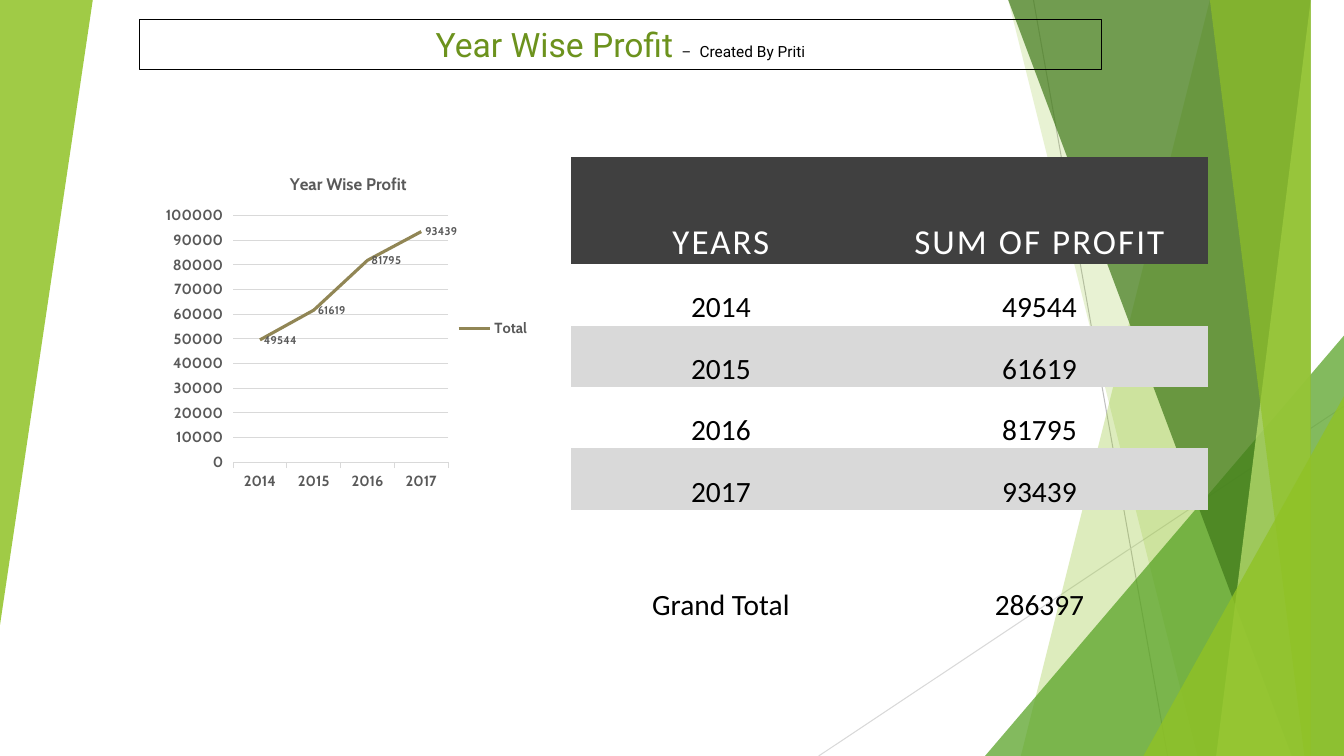
"""Build the Year Wise Profit slide with a line chart and a table."""
import pptx
import pptx.chart.data
import pptx.dml.color
import pptx.enum.chart
import pptx.enum.shapes
import pptx.enum.text
import pptx.oxml
import pptx.oxml.ns
import pptx.util
from lxml import etree

Inches, Pt = pptx.util.Inches, pptx.util.Pt
qn = pptx.oxml.ns.qn
C = {"lime": "90C226", "green": "54A021", "forest": "3F7819", "pale": "C0E474",
     "title": "6C921D", "line": "918655", "text": "595959", "head": "404040",
     "band": "D9D9D9", "rule": "BFBFBF", "black": "000000", "white": "FFFFFF"}


def rgb(name):
    return pptx.dml.color.RGBColor.from_string(C[name])


def style(font, face, size, color, bold=False):
    font.name, font.size, font.bold = face, Pt(size), bold
    font.color.rgb = rgb(color)


prs = pptx.Presentation()
prs.slide_width, prs.slide_height = Inches(13.33), Inches(7.5)
s = prs.slides.add_slide(prs.slide_layouts[5])

for x1, y1, x2, y2, color in [(10.25, 0, 11.58, 7.5, "rule"), (13.33, 4.03, 8.12, 7.5, "band")]:
    ln = s.shapes.add_connector(pptx.enum.shapes.MSO_CONNECTOR.STRAIGHT,
                                Inches(x1), Inches(y1), Inches(x2), Inches(y2))
    ln.line.color.rgb, ln.line.width = rgb(color), Pt(0.75)
    etree.SubElement(ln.element.spPr, qn("a:effectLst"))

facets = [
    ("band", (12.28, 10.04), "lime", 30),
    ("band", (10.5, 11.83), "lime", 20),
    ("triangle", (9.77, 3.33, 3.56, 4.17), "green", 72),
    ("band", (10.21, 12.91), "forest", 70),
    ("band", (13.03, 11.92), "pale", 70),
    ("band", (11.96, 13.18), "lime", 65),
    ("triangle", (11.34, 3.93, 1.99, 3.57), "lime", 80),
    ("triangle", (0, 0, 0.92, 6.2), "lime", 85),
]
for kind, place, color, alpha in facets:
    if kind == "band":
        top, bottom = place
        fb = s.shapes.build_freeform(top, 0, scale=Inches(1))
        fb.add_line_segments([(13.33, 0), (13.33, 7.5), (bottom, 7.5)], close=True)
        sp = fb.convert_to_shape()
    else:
        sp = s.shapes.add_shape(pptx.enum.shapes.MSO_SHAPE.ISOSCELES_TRIANGLE,
                                *[Inches(v) for v in place])
        sp.adjustments[0] = 1
        sp.rotation = 180 if place[0] == 0 else 0
    sp.shadow.inherit = False
    sp.line.fill.background()
    sp.fill.solid()
    sp.fill.fore_color.rgb = rgb(color)
    clr = sp.element.spPr.find(".//" + qn("a:srgbClr"))
    etree.SubElement(clr, qn("a:alpha"), val=str(alpha * 1000))

profits = {"2014": 49544, "2015": 61619, "2016": 81795, "2017": 93439}
rows = [("YEARS", "SUM OF PROFIT"), *profits.items(), ("Grand Total", sum(profits.values()))]
gf = s.shapes.add_table(len(rows), 2, Inches(5.66), Inches(1.56), Inches(6.32), Inches(4.63))
tbl = gf.table
gf.element.find(".//" + qn("a:tableStyleId")).text = "{2D5ABB26-0587-4C30-8999-92F81FD0307C}"
for col, width in zip(tbl.columns, (2.98, 3.34)):
    col.width = Inches(width)
for i, (row, height) in enumerate(zip(rows, (1.06, 0.61, 0.61, 0.61, 0.61, 1.13))):
    tbl.rows[i].height = Inches(height)
    for j, value in enumerate(row):
        cell = tbl.cell(i, j)
        cell.margin_left = cell.margin_right = cell.margin_top = cell.margin_bottom = 0
        cell.vertical_anchor = pptx.enum.text.MSO_ANCHOR.BOTTOM
        if i in (0, 2, 4):
            cell.fill.solid()
            cell.fill.fore_color.rgb = rgb("band" if i else "head")
        else:
            cell.fill.background()
        p = cell.text_frame.paragraphs[0]
        p.alignment = pptx.enum.text.PP_ALIGN.CENTER
        r = p.add_run()
        r.text = str(value)
        style(r.font, "Calibri", 21 if i else 25, "black" if i else "white")
        if i == 0:
            r.font._element.set("spc", "150")

title = s.shapes.title
s.shapes.element.append(title.element)
title.left, title.top, title.width, title.height = Inches(1.38), Inches(0.19), Inches(9.55), Inches(0.5)
title.line.color.rgb, title.line.width = rgb("black"), Pt(0.75)
tf = title.text_frame
tf.word_wrap = True
tf.auto_size = pptx.enum.text.MSO_AUTO_SIZE.NONE
tf.vertical_anchor = pptx.enum.text.MSO_ANCHOR.MIDDLE
p = tf.paragraphs[0]
p.alignment = pptx.enum.text.PP_ALIGN.CENTER
for text, size, color in [("Year Wise Profit ", 24, "title"), ("–", 10.5, "black"),
                          (" ", 24, "black"), ("Created By Priti", 11, "black")]:
    r = p.add_run()
    r.text = text
    style(r.font, "Roboto", size, color)

cd = pptx.chart.data.CategoryChartData(number_format="0")
cd.categories = list(profits)
cd.add_series("Total", list(profits.values()))
chart = s.shapes.add_chart(pptx.enum.chart.XL_CHART_TYPE.LINE, Inches(1.55), Inches(1.56),
                           Inches(3.81), Inches(3.4), cd).chart
style(chart.font, "Cabin", 10.5, "text", True)
chart.has_title = True
r = chart.chart_title.text_frame.paragraphs[0].add_run()
r.text = "Year Wise Profit"
style(r.font, "Cabin", 12, "text", True)
chart.has_legend = True
chart.legend.position = pptx.enum.chart.XL_LEGEND_POSITION.RIGHT
chart.legend.include_in_layout = False
style(chart.legend.font, "Cabin", 10.5, "text", True)

cat, val = chart.category_axis, chart.value_axis
for axis in (cat, val):
    style(axis.tick_labels.font, "Cabin", 10.5, "text", True)
    axis.major_tick_mark = pptx.enum.chart.XL_TICK_MARK.OUTSIDE
val.minimum_scale, val.maximum_scale, val.major_unit = 0, 100000, 10000
val.tick_labels.number_format, val.tick_labels.number_format_is_linked = "0", False
val.format.line.fill.background()
for line in (cat.format.line, val.major_gridlines.format.line):
    line.color.rgb, line.width = rgb("band"), Pt(0.75)

plot = chart.plots[0]
plot.vary_by_categories = False
ser = plot.series[0]
ser.smooth = False
ser.marker.style = pptx.enum.chart.XL_MARKER_STYLE.NONE
ser.format.line.color.rgb, ser.format.line.width = rgb("line"), Pt(2.25)
dl = ser.data_labels
dl.show_value = True
dl.position = pptx.enum.chart.XL_LABEL_POSITION.RIGHT
dl.number_format, dl.number_format_is_linked = "0", False
style(dl.font, "Cabin", 8, "text", True)

area = chart.element.find(".//" + qn("c:plotArea"))
for old in area.findall(qn("c:layout")):
    area.remove(old)
layout = etree.Element(qn("c:layout"))
area.insert(0, layout)
manual = etree.SubElement(layout, qn("c:manualLayout"))
for tag, value in [("layoutTarget", "inner"), ("xMode", "edge"), ("yMode", "edge"),
                   ("x", "0.2"), ("y", "0.17"), ("w", "0.56"), ("h", "0.72")]:
    etree.SubElement(manual, qn("c:" + tag), val=value)

prs.save("out.pptx")
